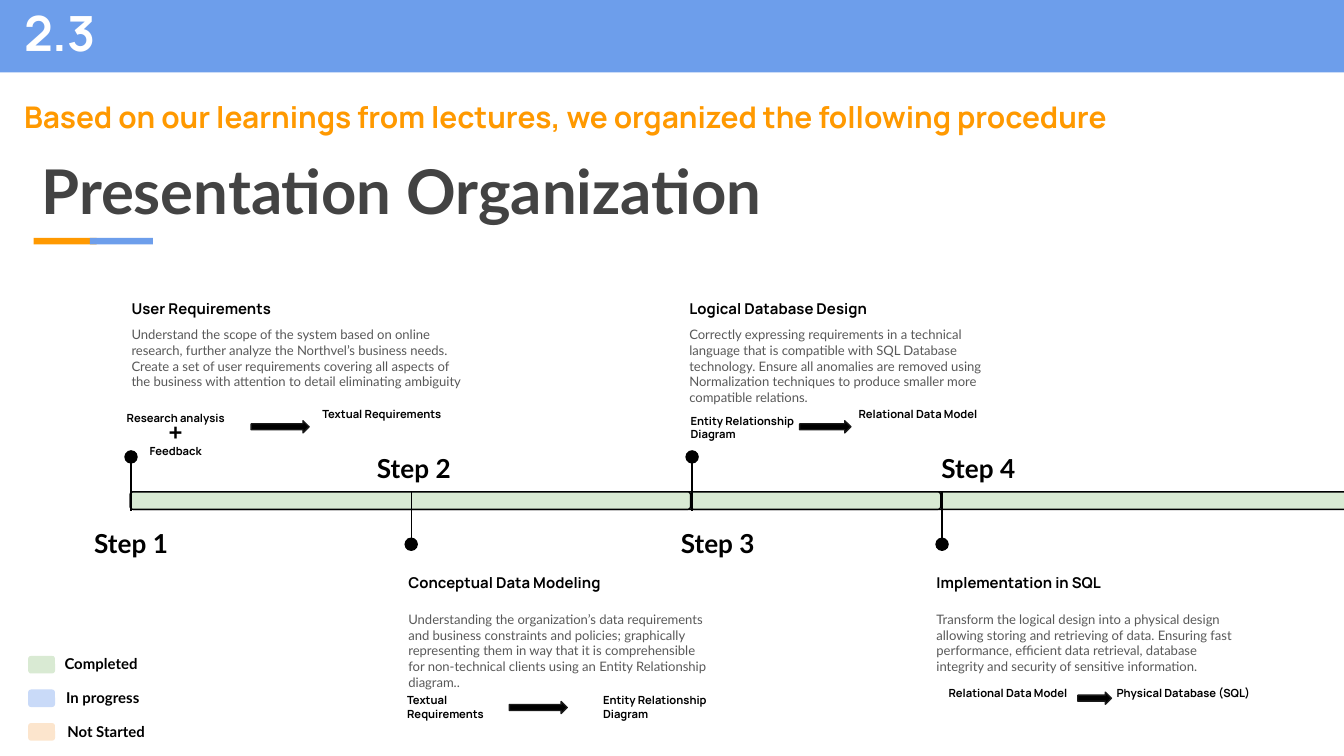
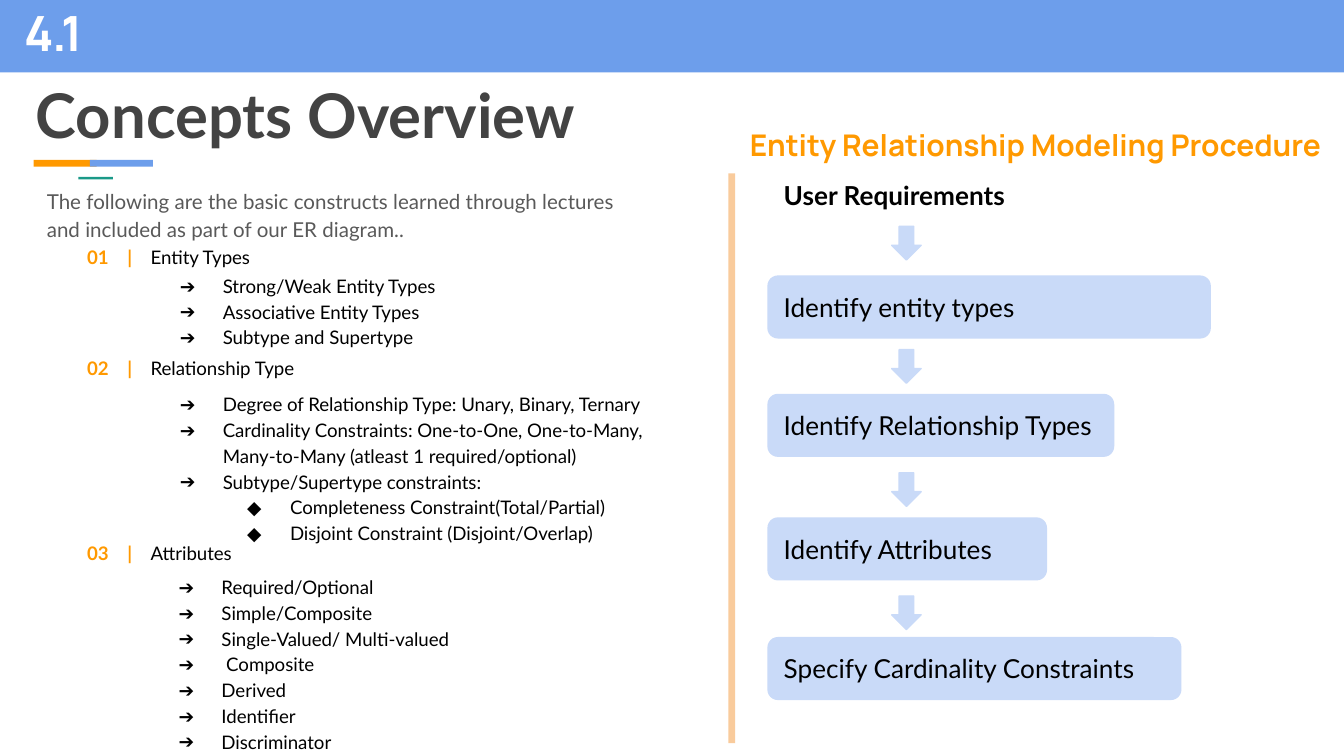
from dataclasses import dataclass

import lxml.etree
import pptx
import pptx.dml.color
import pptx.enum.shapes
import pptx.enum.text
import pptx.oxml.ns
import pptx.util

COLORS = {
    "blue": "6D9EEB",
    "orange": "FF9900",
    "teal": "1A9988",
    "peach": "F9CB9C",
    "completed": "D9EAD3",
    "in_progress": "C9DAF8",
    "not_started": "FCE5CD",
    "title": "434343",
    "body": "595959",
    "ink": "1A1A1A",
    "black": "000000",
    "white": "FFFFFF",
}
SHAPES = pptx.enum.shapes.MSO_SHAPE
ANCHORS = pptx.enum.text.MSO_ANCHOR
CENTER = pptx.enum.text.PP_ALIGN.CENTER
INSET = 7.2


@dataclass
class Step:
    """One step of the timeline; pins of upper steps point up."""

    upper: bool
    pin_x: float
    label_x: float
    text_x: float
    text_w: float
    title: str
    body: str
    source: list
    source_box: tuple
    target: str
    target_x: float
    arrow: tuple


STEPS = [
    Step(True, 70.2, 70.2, 63.4, 191.5, "User Requirements",
         "Understand the scope of the system based on online research, further analyze the "
         "Northvel’s business needs. Create a set of user requirements covering all aspects of "
         "the business with attention to detail eliminating ambiguity",
         [("Research analysis", 6), ("+", 14), ("Feedback", 6)], (51.1, 86),
         "Textual Requirements", 165.6, (134.6, 225.4, 31)),
    Step(False, 220.3, 221.7, 211.7, 174.2, "Conceptual Data Modeling",
         "Understanding the organization’s data requirements and business constraints and "
         "policies; graphically representing them in way that it is comprehensible for "
         "non-technical clients using an Entity Relationship diagram..",
         [("Textual Requirements", 6)], (211, 68.4),
         "Entity Relationship Diagram", 316, (272.9, 375.8, 31)),
    Step(True, 370.8, 384.5, 362.2, 174.2, "Logical Database Design",
         "Correctly expressing requirements in a technical language that is compatible with SQL "
         "Database technology. Ensure all anomalies are removed using Normalization techniques "
         "to produce smaller more compatible relations.",
         [("Entity Relationship Diagram", 6)], (362.9, 86),
         "Relational Data Model", 452.9, (428.4, 225.4, 27.4)),
    Step(False, 504.7, 524.1, 494.6, 174.2, "Implementation in SQL",
         "Transform the logical design into a physical design allowing storing and retrieving of "
         "data. Ensuring fast performance, efficient data retrieval, database integrity and "
         "security of sensitive information.",
         [("Relational Data Model", 6)], (501.1, 86),
         "Physical Database (SQL)", 591.1, (577.4, 370.8, 18)),
]
LEGEND = [
    ("Completed", "completed", 54.2),
    ("In progress", "in_progress", 55.1),
    ("Not Started", "not_started", 56.9),
]
TOPICS = [
    ("01", "Entity Types", 123.1, 76.3, 138.2, [
        (0, "Strong/Weak Entity Types"),
        (0, "Associative Entity Types"),
        (0, "Subtype and Supertype"),
    ]),
    ("02", "Relationship Type", 182.2, 76.3, 201.6, [
        (0, "Degree of Relationship Type: Unary, Binary, Ternary"),
        (0, "Cardinality Constraints: One-to-One, One-to-Many, "
            "Many-to-Many (atleast 1 required/optional)"),
        (0, "Subtype/Supertype constraints:"),
        (1, "Completeness Constraint(Total/Partial)"),
        (1, "Disjoint Constraint (Disjoint/Overlap)"),
    ]),
    ("03", "Attributes", 281.5, 75.6, 299.5, [
        (0, "Required/Optional"),
        (0, "Simple/Composite"),
        (0, "Single-Valued/ Multi-valued"),
        (0, " Composite"),
        (0, "Derived"),
        (0, "Identifier"),
        (0, "Discriminator"),
    ]),
]
PROCEDURE = [
    ("User Requirements", 87.8, 237.6, "white"),
    ("Identify entity types", 147.6, 237.6, "in_progress"),
    ("Identify Relationship Types", 211, 185.8, "in_progress"),
    ("Identify Attributes", 277.2, 149.8, "in_progress"),
    ("Specify Cardinality Constraints", 341.3, 221.8, "in_progress"),
]


def rgb(name):
    """Return the named colour."""
    return pptx.dml.color.RGBColor.from_string(COLORS[name])


def points(*values):
    """Convert numbers to lengths in points."""
    return [pptx.util.Pt(v) for v in values]


def add_run(p, text, size=10, font="Lato", color="black", bold=False, align=None, spacing=None):
    """Append formatted text to a paragraph."""
    if align is not None:
        p.alignment = align
    if spacing is not None:
        p.line_spacing = spacing
    r = p.add_run()
    r.text = text
    r.font.name = font
    r.font.size = pptx.util.Pt(size)
    r.font.bold = bold
    r.font.color.rgb = rgb(color)


def prepare_frame(sp, anchor=ANCHORS.TOP):
    """Set wrapping, insets and anchor of a shape's text frame."""
    tf = sp.text_frame
    tf.word_wrap = True
    tf.vertical_anchor = anchor
    tf.margin_left = tf.margin_right = tf.margin_top = tf.margin_bottom = pptx.util.Pt(INSET)
    return tf


def add_box(s, x, y, w, h, anchor=ANCHORS.TOP):
    """Add an empty text box and return its frame."""
    return prepare_frame(s.shapes.add_textbox(*points(x, y, w, h)), anchor)


def add_label(s, text, x, y, w, h, anchor=ANCHORS.TOP, **fmt):
    """Add a text box with one paragraph."""
    add_run(add_box(s, x, y, w, h, anchor).paragraphs[0], text, **fmt)


def add_figure(s, kind, x, y, w, h, fill, line=None):
    """Add a filled preset shape."""
    sp = s.shapes.add_shape(kind, *points(x, y, w, h))
    sp.shadow.inherit = False
    sp.fill.solid()
    sp.fill.fore_color.rgb = rgb(fill)
    if line:
        sp.line.color.rgb = rgb(line)
        sp.line.width = pptx.util.Pt(0.75)
    else:
        sp.line.fill.background()
    return sp


def add_pin(s, x, upper):
    """Add a dot with a stem that reaches the timeline."""
    y, end = (244.8, 273.6) if upper else (291.6, 262.8)
    c = s.shapes.add_connector(pptx.enum.shapes.MSO_CONNECTOR.STRAIGHT, *points(x, y, x, end))
    c.line.color.rgb = rgb("black")
    c.line.width = pptx.util.Pt(0.75)
    lxml.etree.SubElement(c._element.spPr, pptx.oxml.ns.qn("a:effectLst"))
    add_figure(s, SHAPES.OVAL, x - 3.6, y - 3.6, 7.2, 7.2, "black")


def add_step(s, number, step):
    """Add the pin, label, description and flow of one step."""
    title_y, body_y, flow_y, label_y = (
        (155.5, 167.8, 214.6, 272.9) if step.upper else (302.4, 320.4, 364.3, 232.6))
    add_pin(s, step.pin_x, step.upper)
    add_label(s, f"Step {number}", step.label_x - 29.5, label_y, 59, 29.5,
              size=14, bold=True, align=CENTER, spacing=1.15)
    add_label(s, step.title, step.text_x, title_y, 174.2, 18, size=8, font="Manrope", bold=True)
    add_label(s, step.body, step.text_x, body_y, step.text_w, 43.2, size=7, color="body")
    x, w = step.source_box
    tf = add_box(s, x, flow_y, w, 17.3)
    stacked = {"align": CENTER, "spacing": 0.75} if len(step.source) > 1 else {}
    for i, (text, size) in enumerate(step.source):
        p = tf.add_paragraph() if i else tf.paragraphs[0]
        add_run(p, text, size=size, font="Manrope", bold=True, **stacked)
    add_label(s, step.target, step.target_x, flow_y, 86, 17.3, size=6, font="Manrope", bold=True)
    x, y, w = step.arrow
    add_figure(s, SHAPES.RIGHT_ARROW, x, y, w, 6.5, "black", "ink")


def add_bullets(s, items, x, y):
    """Add a two-level bulleted list."""
    tf = add_box(s, x, y, 302, 21)
    for i, (level, text) in enumerate(items):
        p = tf.add_paragraph() if i else tf.paragraphs[0]
        p.level = level
        pPr = p._p.get_or_add_pPr()
        pPr.set("marL", str(pptx.util.Pt(36 * (level + 1))))
        pPr.set("indent", str(pptx.util.Pt(-23)))
        qn = pptx.oxml.ns.qn
        clr = lxml.etree.SubElement(pPr, qn("a:buClr"))
        lxml.etree.SubElement(clr, qn("a:srgbClr"), val=COLORS["black"])
        lxml.etree.SubElement(pPr, qn("a:buFont"), typeface="Lato")
        lxml.etree.SubElement(pPr, qn("a:buChar"), char="➔◆"[level])
        add_run(p, text, spacing=1.15)


def add_topic(s, number, name, y, list_x, list_y, items):
    """Add a numbered topic and its list."""
    p = add_box(s, 39.6, y, 286.6, 21).paragraphs[0]
    tabs = lxml.etree.SubElement(p._p.get_or_add_pPr(), pptx.oxml.ns.qn("a:tabLst"))
    for stop in (21.5, 34):
        lxml.etree.SubElement(tabs, pptx.oxml.ns.qn("a:tab"),
                              pos=str(pptx.util.Pt(stop)), algn="l")
    add_run(p, f"{number}\t|\t", color="orange", bold=True, spacing=1.15)
    add_run(p, name)
    add_bullets(s, items, list_x, list_y)


def start_slide(prs, section, title, title_x, title_y, rule_y):
    """Add a slide with its band, section number, title and two-colour rule."""
    s = prs.slides.add_slide(prs.slide_layouts[6])
    add_figure(s, SHAPES.RECTANGLE, 0, -4.3, 720, 43.2, "blue")
    add_label(s, section, 5.8, -5.8, 236, 46, size=26, font="Manrope", color="white", bold=True)
    add_label(s, title, title_x, title_y, 465, 54.7, size=33, color="title", bold=True)
    for x, color in ((18, "orange"), (48.2, "blue")):
        add_figure(s, SHAPES.RECTANGLE, x, rule_y, 33.8, 3.6, color)
    return s


def add_heading(s, text, x, y, w):
    """Add an orange heading."""
    add_label(s, text, x, y, w, 33.8, ANCHORS.MIDDLE,
              size=16, font="Manrope", color="orange", bold=True)


def build_organization(prs):
    """Build the timeline slide."""
    s = start_slide(prs, "2.3", "Presentation Organization", 15.1, 74.9, 127.4)
    add_heading(s, "Based on our learnings from lectures, we organized the following procedure",
                5.8, 45.4, 698.4)
    for x, w in ((69.8, 653), (69.8, 300.2), (370.1, 133.9)):
        add_figure(s, SHAPES.ROUNDED_RECTANGLE, x, 263.5, w, 9.4, "completed", "black")
    for number, step in enumerate(STEPS, 1):
        add_step(s, number, step)
    for i, (text, color, center) in enumerate(LEGEND):
        y = 351.4 + 18 * i
        add_figure(s, SHAPES.ROUNDED_RECTANGLE, 15.1, y, 14.4, 9.4, color)
        add_label(s, text, center - 40, y - 7.4, 80, 24.5,
                  size=8, bold=True, align=CENTER, spacing=1.15)


def build_concepts(prs):
    """Build the concepts and modeling procedure slide."""
    s = start_slide(prs, "4.1", "Concepts Overview", 12.2, 33.8, 85.7)
    add_figure(s, SHAPES.RECTANGLE, 42, 94.8, 18.5, 1.4, "teal")
    add_heading(s, "Entity Relationship Modeling Procedure", 394.6, 60.5, 325)
    add_label(s, "The following are the basic constructs learned through lectures and included "
              "as part of our ER diagram..", 18, 92.2, 325.4, 28,
              size=11, color="body", spacing=1.15)
    for topic in TOPICS:
        add_topic(s, *topic)
    add_figure(s, SHAPES.RECTANGLE, 390.2, 92.9, 3.6, 305.3, "peach")
    for text, y, w, fill in PROCEDURE:
        sp = add_figure(s, SHAPES.ROUNDED_RECTANGLE, 411.1, y, w, 33.8, fill)
        p = prepare_frame(sp, ANCHORS.MIDDLE).paragraphs[0]
        add_run(p, text, size=14, bold=fill == "white", align=pptx.enum.text.PP_ALIGN.LEFT)
    for i in range(len(PROCEDURE) - 1):
        add_figure(s, SHAPES.DOWN_ARROW, 477.7, 121.3 + 66 * i, 15.8, 18,
                   "in_progress", "in_progress")


def main():
    """Build and save the presentation."""
    prs = pptx.Presentation()
    prs.slide_width, prs.slide_height = points(720, 405)
    build_organization(prs)
    build_concepts(prs)
    prs.save("out.pptx")


if __name__ == "__main__":
    main()
